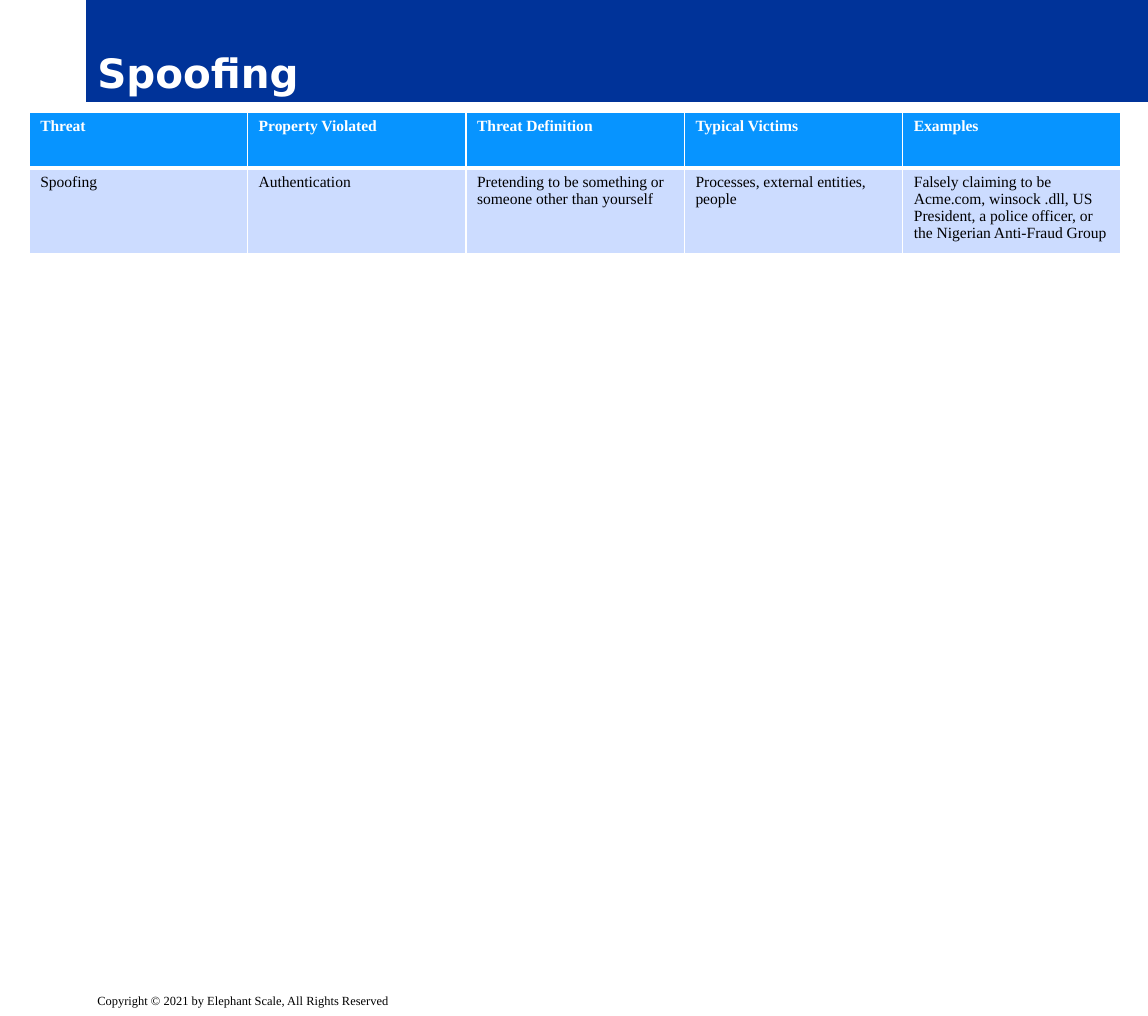
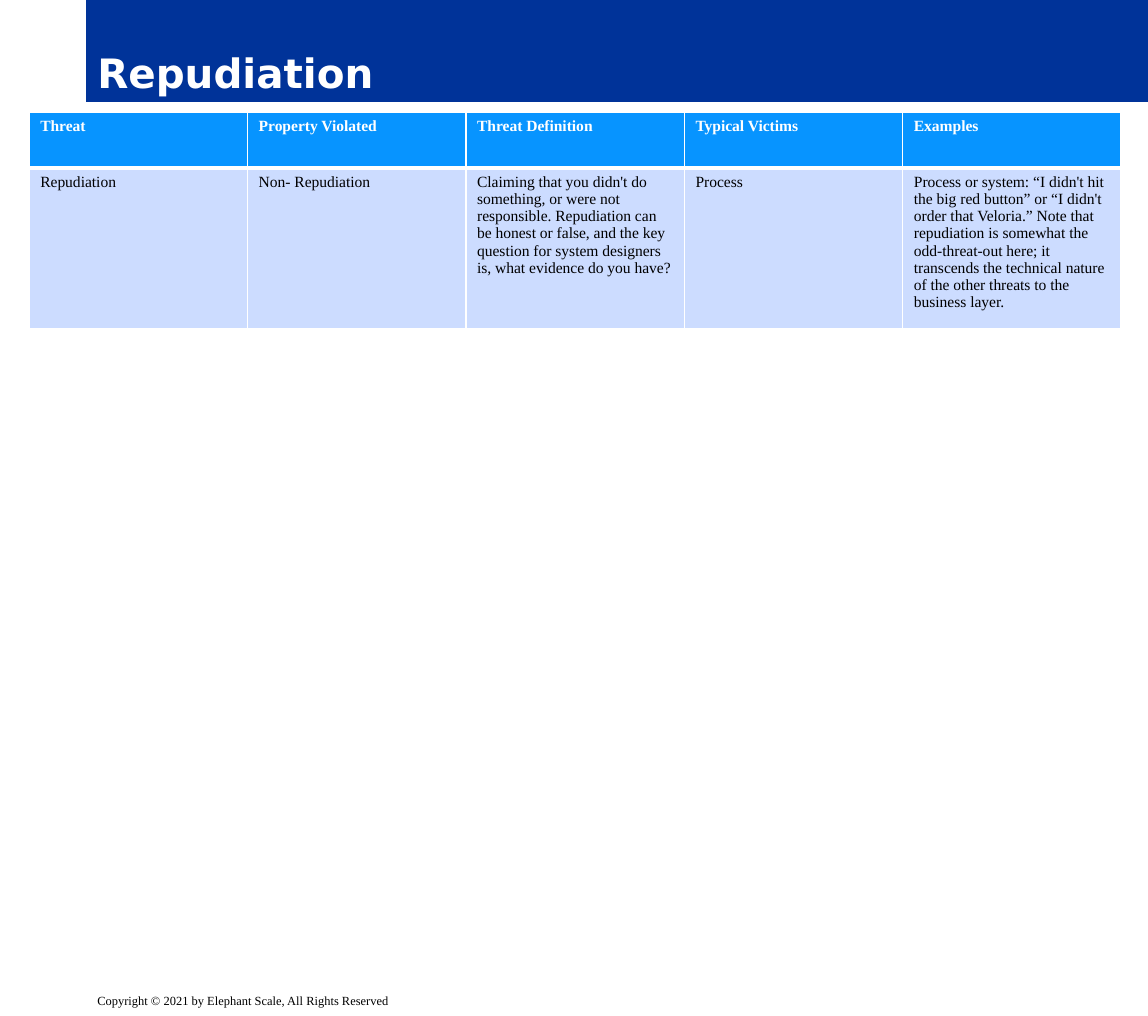
"""Build two threat-model slides, each with a title band, a table and a footer."""
from dataclasses import dataclass

from lxml import etree
from pptx import Presentation
from pptx.dml.color import RGBColor
from pptx.enum.shapes import MSO_SHAPE
from pptx.enum.text import MSO_ANCHOR, PP_ALIGN
from pptx.oxml.ns import qn
from pptx.util import Inches, Pt

RECT = MSO_SHAPE.RECTANGLE
LEFT = PP_ALIGN.LEFT
TOP, BOTTOM = MSO_ANCHOR.TOP, MSO_ANCHOR.BOTTOM

FOOTER = "Copyright © 2021 by Elephant Scale, All Rights Reserved"
HEADERS = ["Threat", "Property Violated", "Threat Definition", "Typical Victims", "Examples"]
THREATS = [
    {
        "row": [
            "Spoofing",
            "Authentication",
            "Pretending to be something or someone other than yourself",
            "Processes, external entities, people",
            "Falsely claiming to be Acme.com, winsock .dll, US President, "
            "a police officer, or the Nigerian Anti-Fraud Group",
        ],
        "height": 0.76,
    },
    {
        "row": [
            "Repudiation",
            "Non- Repudiation",
            "Claiming that you didn't do something, or were not responsible. "
            "Repudiation can be honest or false, and the key question for "
            "system designers is, what evidence do you have?",
            "Process",
            "Process or system: “I didn't hit the big red button” or “I didn't "
            "order that Veloria.” Note that repudiation is somewhat the "
            "odd-threat-out here; it transcends the technical nature of the "
            "other threats to the business layer.",
        ],
        "height": 1.43,
    },
]


@dataclass(frozen=True)
class Theme:
    """Colours, fonts and type sizes shared by the slides."""
    band: str = "003399"
    header: str = "0794FF"
    body: str = "CCDCFF"
    white: str = "FFFFFF"
    black: str = "000000"
    title_font: str = "DejaVu Sans"
    text_font: str = "Times New Roman"
    title_size: int = 26
    table_size: int = 10
    footer_size: int = 8


THEME = Theme()
SLIDE_W, SLIDE_H = 10.25, 9.07
BAND_LEFT, BAND_H = 0.77, 0.91
BAND_W = SLIDE_W - BAND_LEFT
FOOTER_TOP, FOOTER_H = 8.82, 0.25
TABLE_LEFT, TABLE_TOP, COL_W, HEADER_H = 0.26, 1, 1.95, 0.5


def write(tf, text, size, color=THEME.black, font=THEME.text_font, bold=False, anchor=TOP):
    """Put one formatted, left-aligned paragraph in a text frame."""
    tf.word_wrap = True
    tf.vertical_anchor = anchor
    p = tf.paragraphs[0]
    p.alignment = LEFT
    r = p.add_run()
    r.text = text
    r.font.name, r.font.size, r.font.bold = font, Pt(size), bold
    r.font.color.rgb = RGBColor.from_string(color)


def set_borders(cell, **widths):
    """Draw white cell borders, with widths in points by side."""
    tc_pr = cell._tc.get_or_add_tcPr()
    for i, side in enumerate("LRTB"):
        ln = etree.Element(qn(f"a:ln{side}"), w=str(Pt(widths[side])))
        fill = etree.SubElement(ln, qn("a:solidFill"))
        etree.SubElement(fill, qn("a:srgbClr"), val=THEME.white)
        tc_pr.insert(i, ln)


def add_frame(s, title):
    """Add the title band and the footer."""
    band = s.shapes.add_shape(RECT, Inches(BAND_LEFT), 0, Inches(BAND_W), Inches(BAND_H))
    band.shadow.inherit = False
    band.fill.solid()
    band.fill.fore_color.rgb = RGBColor.from_string(THEME.band)
    band.line.fill.background()
    write(band.text_frame, title, THEME.title_size, color=THEME.white,
          font=THEME.title_font, bold=True, anchor=BOTTOM)
    footer = s.shapes.add_textbox(Inches(BAND_LEFT), Inches(FOOTER_TOP),
                                  Inches(BAND_W), Inches(FOOTER_H))
    write(footer.text_frame, FOOTER, THEME.footer_size)


def add_threat_table(s, row, height):
    """Add the header row and one threat row."""
    rows = [HEADERS, row]
    heights = [HEADER_H, height]
    table = s.shapes.add_table(len(rows), len(HEADERS), Inches(TABLE_LEFT), Inches(TABLE_TOP),
                               Inches(COL_W * len(HEADERS)), Inches(sum(heights))).table
    for col in table.columns:
        col.width = Inches(COL_W)
    for i, texts in enumerate(rows):
        table.rows[i].height = Inches(heights[i])
        is_header = i == 0
        for j, text in enumerate(texts):
            cell = table.cell(i, j)
            cell.fill.solid()
            cell.fill.fore_color.rgb = RGBColor.from_string(
                THEME.header if is_header else THEME.body)
            set_borders(cell, L=1, R=1, T=1 if is_header else 3, B=3 if is_header else 1)
            write(cell.text_frame, text, THEME.table_size, bold=is_header,
                  color=THEME.white if is_header else THEME.black)


def main():
    """Build and save the presentation."""
    prs = Presentation()
    prs.slide_width, prs.slide_height = Inches(SLIDE_W), Inches(SLIDE_H)
    for threat in THREATS:
        s = prs.slides.add_slide(prs.slide_layouts[6])
        add_frame(s, threat["row"][0])
        add_threat_table(s, threat["row"], threat["height"])
    prs.save("out.pptx")


if __name__ == "__main__":
    main()
